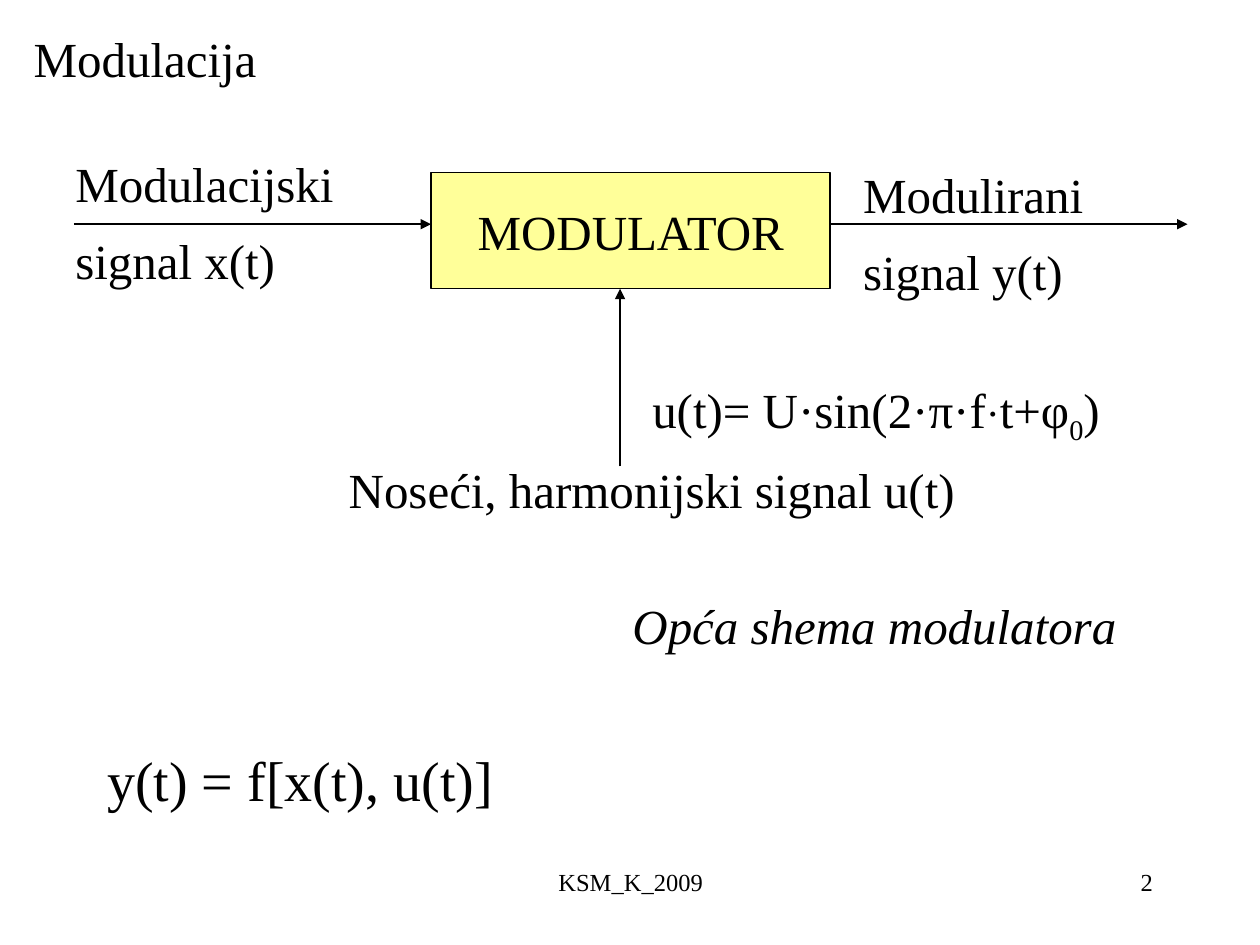
from lxml import etree
from pptx import Presentation
from pptx.dml.color import RGBColor
from pptx.enum import shapes, text
from pptx.oxml.ns import qn
from pptx.util import Cm, Pt

COLORS = {"ink": "000000", "block": "FFFF99"}
FONT = "Times New Roman"
LEFT, CENTER, RIGHT = text.PP_ALIGN.LEFT, text.PP_ALIGN.CENTER, text.PP_ALIGN.RIGHT

# Content: places are left, top, width, height in cm
MODULATOR = ("MODULATOR", (8.69, 3.48, 8.05, 2.34))
ARROW_LENGTH = 7.2
SIGNAL_Y = 4.52
CARRIER_X, CARRIER_START = 12.5, 9.4

# Each line is a list of (text, size override, baseline in percent)
CARRIER_FORMULA = [("u(t)= U·sin(2·π·f", None, 0), ("·", 24, 0), ("t+φ", None, 0),
                   ("0", None, -25), (")", None, 0)]

LABELS = [
    {"lines": ["Modulacija"], "place": (0.43, 0.46, 7.82, 1.45)},
    {"lines": ["Modulacijski", "signal x(t)"], "place": (1.27, 2.62, 6.55, 3.35), "spacing": 1.3},
    {"lines": ["Modulirani", "signal y(t)"], "place": (17.15, 2.84, 6.55, 3.35), "spacing": 1.3},
    {"lines": [CARRIER_FORMULA], "place": (12.9, 7.52, 11.2, 1.6)},
    {"lines": ["Noseći, harmonijski signal u(t)"], "place": (6.78, 8.79, 13.13, 1.8), "spacing": 1.3},
    {"lines": ["Opća shema modulatora"], "place": (12.5, 11.89, 11.23, 1.45), "italic": True},
    {"lines": ["y(t) = f[x(t), u(t)]"], "place": (1.91, 14.91, 8.31, 1.63), "size": 32, "wrap": False},
    {"lines": ["KSM_K_2009"], "place": (8.69, 17.35, 8.05, 1.27), "size": 14, "align": CENTER},
    {"lines": ["2"], "place": (18.21, 17.35, 5.28, 1.27), "size": 14, "align": RIGHT},
]


def color(name):
    return RGBColor.from_string(COLORS[name])


def write(frame, lines, size=28, align=LEFT, spacing=None, italic=None, wrap=True):
    frame.word_wrap = wrap
    for index, line in enumerate(lines):
        para = frame.paragraphs[0] if index == 0 else frame.add_paragraph()
        para.alignment = align
        para.line_spacing = spacing
        para.font.name, para.font.size = FONT, Pt(size)
        para.font.italic = italic
        para.font.color.rgb = color("ink")
        pieces = [(line, None, 0)] if isinstance(line, str) else line
        for words, own_size, baseline in pieces:
            span = para.add_run()
            span.text = words
            if own_size:
                span.font.size = Pt(own_size)
            if baseline:
                span._r.get_or_add_rPr().set("baseline", str(baseline * 1000))


def add_arrow(page, start, end):
    arrow = page.shapes.add_connector(
        shapes.MSO_CONNECTOR.STRAIGHT, *(Cm(value) for value in start + end))
    arrow.line.color.rgb = color("ink")
    arrow.line.width = Pt(1)
    etree.SubElement(arrow.line._get_or_add_ln(), qn("a:tailEnd"), type="triangle")
    etree.SubElement(arrow._element.spPr, qn("a:effectLst"))


deck = Presentation()
deck.slide_width, deck.slide_height = Cm(25.4), Cm(19.05)
page = deck.slides.add_slide(deck.slide_layouts[6])

# Modulator block
caption, place = MODULATOR
block = page.shapes.add_shape(shapes.MSO_SHAPE.RECTANGLE, *map(Cm, place))
block.shadow.inherit = False
block.fill.solid()
block.fill.fore_color.rgb = color("block")
block.line.color.rgb = color("ink")
block.line.width = Pt(1)
block.text_frame.vertical_anchor = text.MSO_ANCHOR.MIDDLE
write(block.text_frame, [caption], align=CENTER, wrap=False)

# Signals in, out and carrier from below
left, top, width, height = place
right, bottom = left + width, top + height
add_arrow(page, (left - ARROW_LENGTH, SIGNAL_Y), (left, SIGNAL_Y))
add_arrow(page, (right, SIGNAL_Y), (right + ARROW_LENGTH, SIGNAL_Y))
add_arrow(page, (CARRIER_X, CARRIER_START), (CARRIER_X, bottom))

# Title, labels, formulas and footer
for label in LABELS:
    style = {key: value for key, value in label.items() if key != "place"}
    box = page.shapes.add_textbox(*map(Cm, label["place"]))
    write(box.text_frame, **style)

deck.save("out.pptx")
